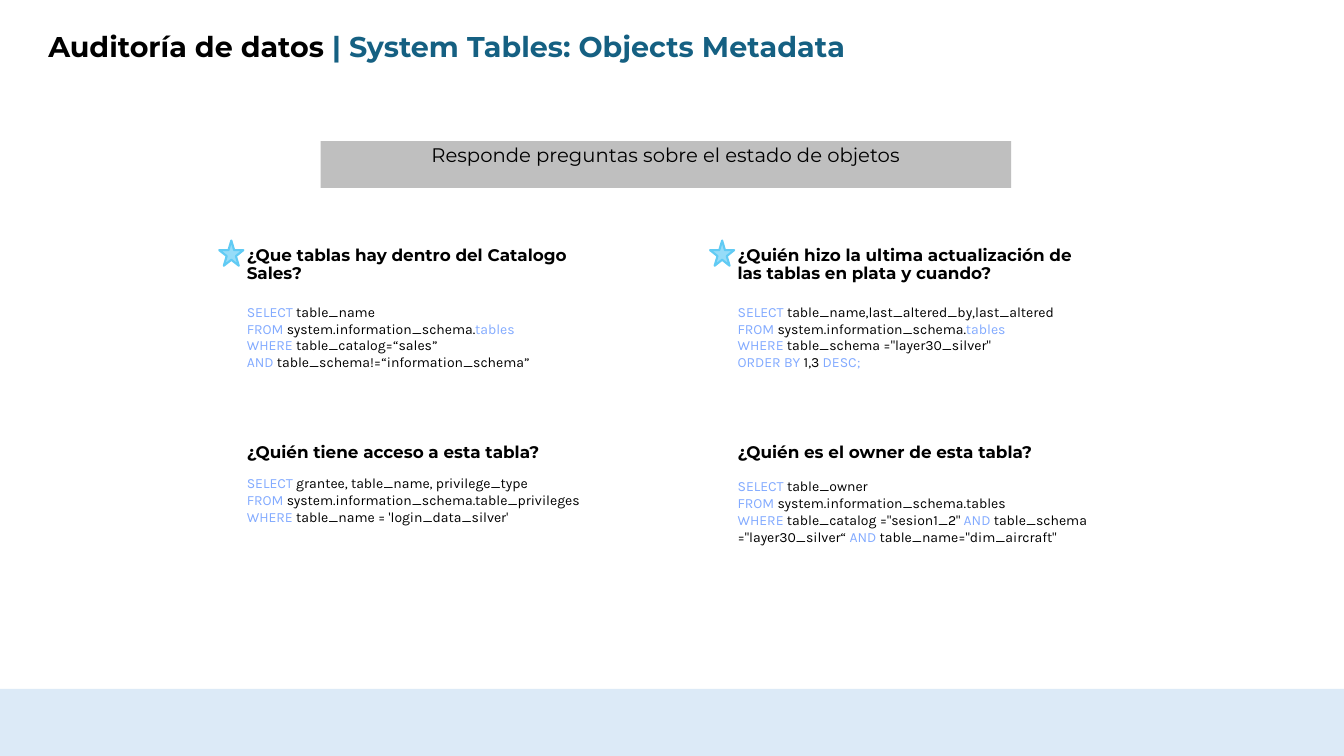
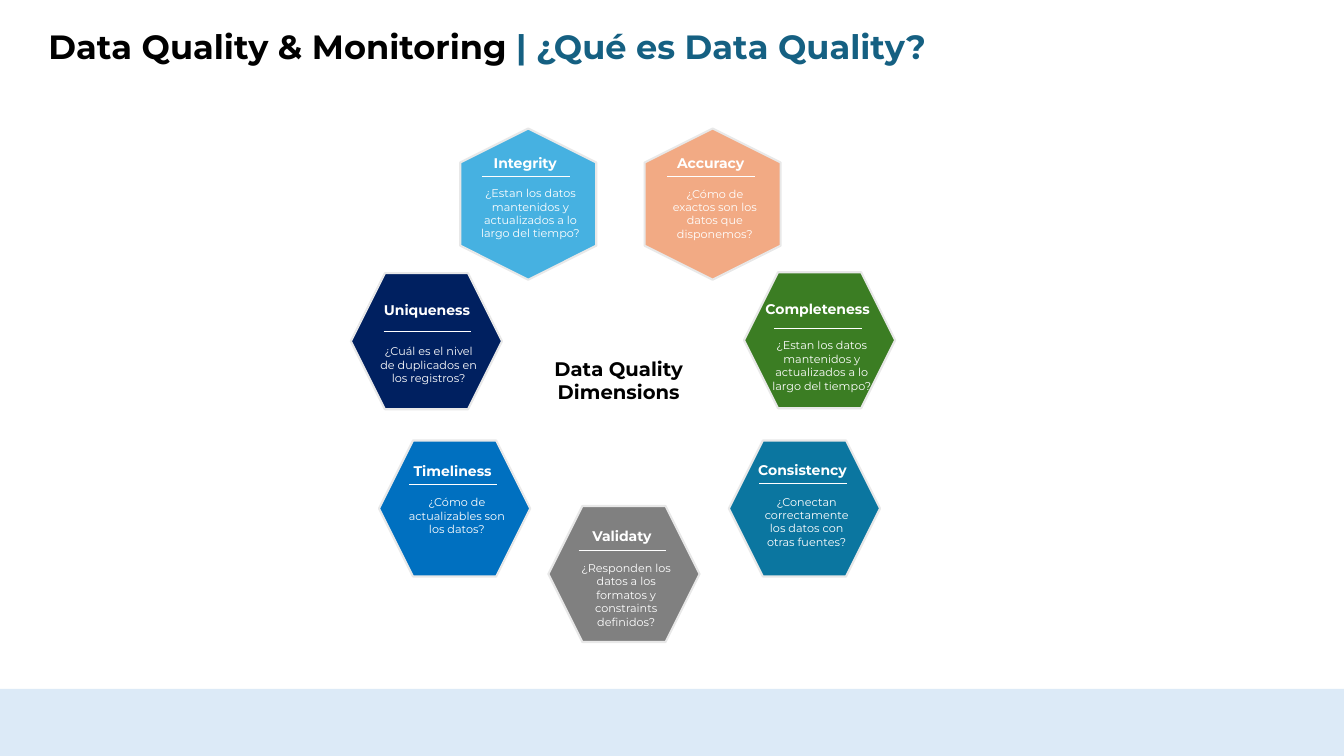
from collections import namedtuple
from itertools import cycle

from lxml.etree import SubElement
from pptx import Presentation
from pptx.dml.color import RGBColor
from pptx.enum.shapes import MSO_CONNECTOR, MSO_SHAPE
from pptx.enum.text import MSO_ANCHOR, PP_ALIGN
from pptx.oxml.ns import qn
from pptx.util import Pt

PAGE_WIDTH, PAGE_HEIGHT = 960, 540
BAND_HEIGHT = 48
BLACK = RGBColor(0x00, 0x00, 0x00)
WHITE = RGBColor(0xFF, 0xFF, 0xFF)
ACCENT = RGBColor(0x15, 0x60, 0x82)
BAND = RGBColor(0xDC, 0xEA, 0xF7)
BANNER = RGBColor(0xBF, 0xBF, 0xBF)
KEYWORD = RGBColor(0x82, 0xAA, 0xFF)
STAR_FILL = RGBColor(0x96, 0xDC, 0xF8)
STAR_LINE = RGBColor(0x61, 0xCB, 0xF4)
HEXAGON_LINE = RGBColor(0xE8, 0xE8, 0xE8)
LIGHT_BLUE = RGBColor(0x46, 0xB1, 0xE1)
ORANGE = RGBColor(0xF2, 0xAA, 0x84)
NAVY = RGBColor(0x00, 0x20, 0x60)
GREEN = RGBColor(0x3B, 0x7D, 0x23)
BLUE = RGBColor(0x00, 0x70, 0xC0)
TEAL = RGBColor(0x0B, 0x76, 0xA0)
GREY = RGBColor(0x80, 0x80, 0x80)
TITLE_FONT, CODE_FONT = "Montserrat", "Karla"

Box = namedtuple("Box", "left top width height")
Question = namedtuple("Question", "left top heading starred code_drop code_width code")
Dimension = namedtuple(
    "Dimension", "name detail fill left top turn name_drop rule_drop detail_drop shift",
    defaults=(0,))

# Each line of code alternates keyword and plain spans.
QUESTIONS = [
    Question(169.2, 172.8, "¿Que tablas hay dentro del Catalogo Sales?", True, 40.3, 306, [
        ["SELECT ", "table_name"],
        ["FROM ", "system.information_schema.", "tables"],
        ["WHERE ", "table_catalog=“sales”"],
        ["AND ", "table_schema!=“information_schema”"],
    ]),
    Question(519.8, 172.8,
             "¿Quién hizo la ultima actualización de las tablas en plata y cuando?",
             True, 40.3, 306, [
        ["SELECT ", "table_name,last_altered_by,last_altered"],
        ["FROM ", "system.information_schema.", "tables"],
        ["WHERE ", "table_schema =\"layer30_silver\""],
        ["ORDER BY ", "1,3 ", "DESC;"],
    ]),
    Question(169.2, 313.9, "¿Quién tiene acceso a esta tabla?", False, 21.5, 306, [
        ["SELECT", " grantee, table_name, privilege_type"],
        ["FROM ", "system.information_schema.table_privileges"],
        ["WHERE ", "table_name = 'login_data_silver'"],
    ]),
    Question(519.8, 313.9, "¿Quién es el owner de esta tabla?", False, 23.8, 320.4, [
        ["SELECT ", "table_owner"],
        ["FROM ", "system.information_schema.tables"],
        ["WHERE ", "table_catalog =\"sesion1_2\" ", "AND ",
         "table_schema =\"layer30_silver“ ", "AND ", "table_name=\"dim_aircraft\""],
    ]),
]

DIMENSIONS = [
    Dimension("Integrity", "¿Estan los datos mantenidos y actualizados a lo largo del tiempo?",
              LIGHT_BLUE, 323.3, 97.2, 90, 9.4, 28.8, 32.4, -0.7),
    Dimension("Accuracy", "¿Cómo de exactos son los datos que disponemos?",
              ORANGE, 455, 97.2, 90, 9.4, 28.8, 32.8),
    Dimension("Uniqueness", "¿Cuál es el nivel de duplicados en los registros?",
              NAVY, 250.6, 195.1, 180, 16.6, 41.8, 47.5, 1.8),
    Dimension("Completeness", "¿Estan los datos mantenidos y actualizados a lo largo del tiempo?",
              GREEN, 531.4, 194.4, 180, 17, 40.3, 43.9),
    Dimension("Timeliness", "¿Cómo de actualizables son los datos?",
              BLUE, 270.7, 314.6, 180, 12.2, 31.7, 36),
    Dimension("Consistency", "¿Conectan correctamente los datos con otras fuentes?",
              TEAL, 520.6, 314.6, 180, 11.5, 31, 35.3),
    Dimension("Validaty", "¿Responden los datos a los formatos y constraints definidos?",
              GREY, 391.7, 361.4, 180, 12.2, 31.7, 36),
]


def lengths(box):
    return [Pt(value) for value in box]


def write(frame, lines, size, colours=(BLACK,), font=TITLE_FONT, bold=False,
          align=PP_ALIGN.LEFT, spacing=1.0):
    """Fill a frame with lines of spans; the colours take turns along each line."""
    frame.word_wrap = True
    for index, spans in enumerate(lines):
        para = frame.add_paragraph() if index else frame.paragraphs[0]
        para.alignment = align
        para.line_spacing = spacing
        para.font.name = font
        para.font.size = Pt(size)
        para.font.bold = bold
        for text, colour in zip(spans, cycle(colours)):
            span = para.add_run()
            span.text = text
            span.font.color.rgb = colour


def add_text(shapes, box, lines, size, **style):
    frame = shapes.add_textbox(*lengths(box)).text_frame
    write(frame, lines, size, **style)
    return frame


def add_figure(shapes, kind, box, fill, line=None):
    figure = shapes.add_shape(kind, *lengths(box))
    figure.shadow.inherit = False
    figure.fill.solid()
    figure.fill.fore_color.rgb = fill
    if line is None:
        figure.line.fill.background()
    else:
        figure.line.color.rgb = line
        figure.line.width = Pt(1.5)
    return figure


def add_rule(shapes, left, top, width):
    rule = shapes.add_connector(
        MSO_CONNECTOR.STRAIGHT, Pt(left), Pt(top), Pt(left + width), Pt(top))
    rule.line.color.rgb = WHITE
    rule.line.width = Pt(0.75)
    SubElement(rule._element.spPr, qn("a:effectLst"))


def add_page(deck, topic, subtitle, size, spacing):
    """Add a blank page with the two-colour title and the bottom band."""
    page = deck.slides.add_slide(deck.slide_layouts[6])
    title = add_text(page.shapes, Box(27.4, 13.7, 730, 42.5), [[topic, subtitle]], size,
                     colours=(BLACK, ACCENT), bold=True, spacing=spacing)
    title.vertical_anchor = MSO_ANCHOR.MIDDLE
    add_figure(page.shapes, MSO_SHAPE.RECTANGLE,
               Box(0, PAGE_HEIGHT - BAND_HEIGHT, PAGE_WIDTH, BAND_HEIGHT), BAND)
    return page


def add_banner(shapes, box, text):
    frame = add_figure(shapes, MSO_SHAPE.RECTANGLE, box, BANNER).text_frame
    frame.vertical_anchor = MSO_ANCHOR.TOP
    write(frame, [[text]], 14, align=PP_ALIGN.CENTER, spacing=0.9)


def add_question(shapes, question):
    left, top = question.left, question.top
    add_text(shapes, Box(left, top, 270.7, 33.8), [[question.heading]], 12,
             bold=True, spacing=0.9)
    add_text(shapes, Box(left, top + question.code_drop, question.code_width, 56),
             question.code, 10, colours=(KEYWORD, BLACK), font=CODE_FONT)
    if question.starred:
        add_figure(shapes, MSO_SHAPE.STAR_5_POINT, Box(left - 12.6, top - 1, 17.3, 18),
                   STAR_FILL, STAR_LINE)


def add_dimension(page, dimension):
    """Group a hexagon with its name, rule and detail, centred on its box."""
    shapes = page.shapes.add_group_shape().shapes
    box = Box(dimension.left, dimension.top, 108, 97.2)
    centre = box.left + box.width / 2
    hexagon = add_figure(shapes, MSO_SHAPE.HEXAGON, box, dimension.fill, HEXAGON_LINE)
    hexagon.rotation = dimension.turn

    def centred(width, drop, height, shift):
        return Box(centre + shift - width / 2, box.top + drop, width, height)

    style = {"colours": (WHITE,), "align": PP_ALIGN.CENTER}
    add_text(shapes, centred(94, dimension.name_drop, 19.4, dimension.shift - 1.4),
             [[dimension.name]], 10, bold=True, **style)
    add_text(shapes, centred(87.2, dimension.detail_drop, 46, 1.7),
             [[dimension.detail]], 8, **style)
    rule = centred(62.6, dimension.rule_drop, 0, dimension.shift - 1.1)
    add_rule(shapes, rule.left, rule.top, rule.width)


def add_metadata_page(deck):
    page = add_page(deck, "Auditoría de datos ", "| System Tables: Objects Metadata", 20.4, 0.8)
    add_banner(page.shapes, Box(229, 100.8, 493.2, 33.5),
               "Responde preguntas sobre el estado de objetos")
    for question in QUESTIONS:
        add_question(page.shapes, question)


def add_quality_page(deck):
    page = add_page(deck, "Data Quality & Monitoring ", "| ¿Qué es Data Quality?", 24, 0.9)
    for dimension in DIMENSIONS:
        add_dimension(page, dimension)
    add_text(page.shapes, Box(388, 251.3, 108, 41), [["Data Quality"], ["Dimensions"]], 14,
             bold=True, align=PP_ALIGN.CENTER)


def main():
    deck = Presentation()
    deck.slide_width, deck.slide_height = Pt(PAGE_WIDTH), Pt(PAGE_HEIGHT)
    add_metadata_page(deck)
    add_quality_page(deck)
    deck.save("out.pptx")


if __name__ == "__main__":
    main()
